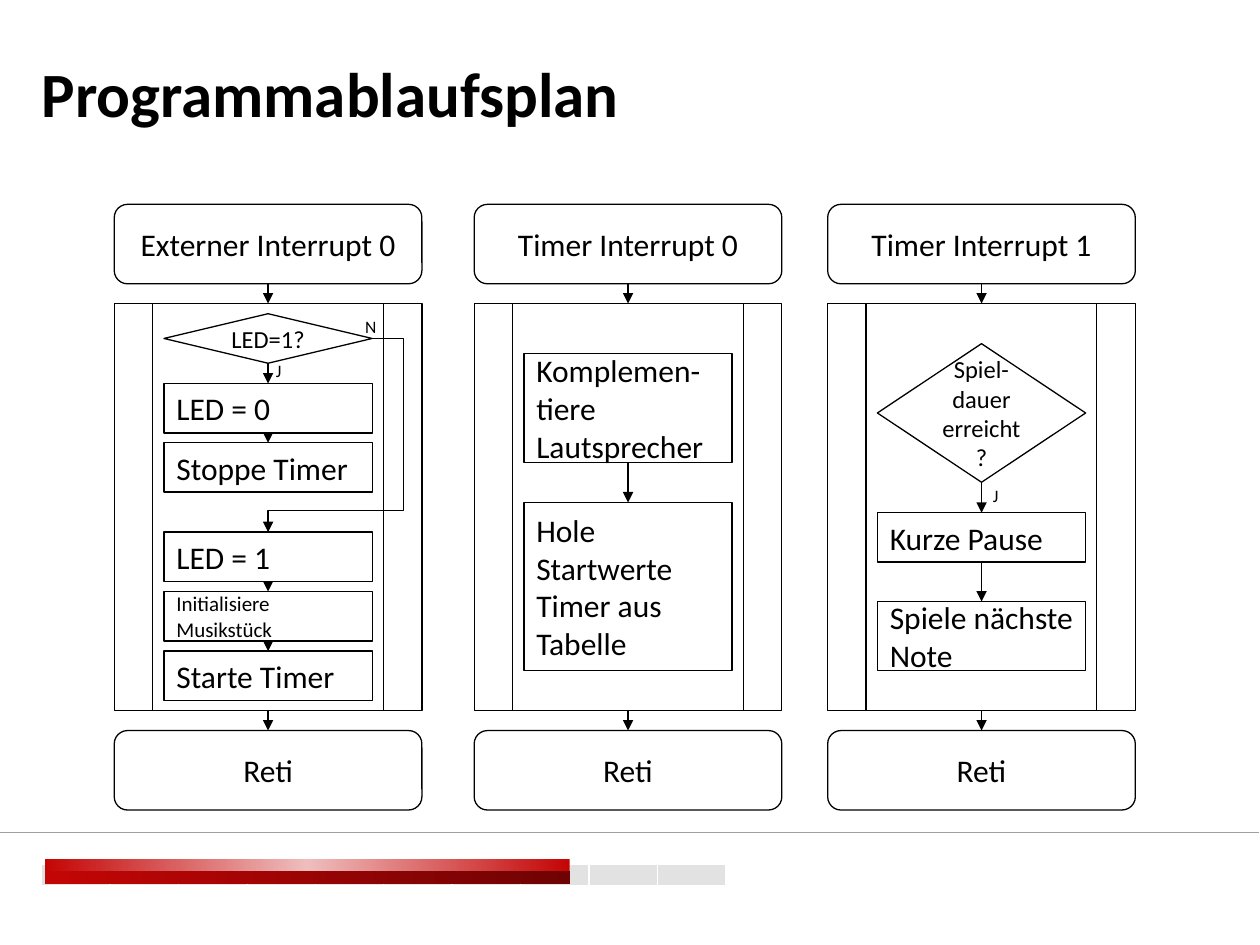
from copy import deepcopy

from pptx import Presentation
from pptx.dml.color import RGBColor
from pptx.enum.shapes import MSO_CONNECTOR, MSO_SHAPE
from pptx.enum.text import MSO_ANCHOR, MSO_AUTO_SIZE, PP_ALIGN
from pptx.oxml.ns import qn
from pptx.util import Pt
from lxml import etree

RECT = MSO_SHAPE.RECTANGLE
TERMINATOR = MSO_SHAPE.ROUNDED_RECTANGLE
PROCESS = MSO_SHAPE.FLOWCHART_PREDEFINED_PROCESS
DECISION = MSO_SHAPE.FLOWCHART_DECISION
STRAIGHT, ELBOW = MSO_CONNECTOR.STRAIGHT, MSO_CONNECTOR.ELBOW
LEFT, CENTER = PP_ALIGN.LEFT, PP_ALIGN.CENTER
MIDDLE = MSO_ANCHOR.MIDDLE
GROW = MSO_AUTO_SIZE.SHAPE_TO_FIT_TEXT

BLACK, WHITE, GRAY, RULE = "000000", "FFFFFF", "E2E2E2", "9F9F9F"
RED, PINK, DARK_RED = "C40505", "EFBDBD", "6F0303"

prs = Presentation()
prs.slide_width, prs.slide_height = Pt(720), Pt(540)
slide = prs.slides.add_slide(prs.slide_layouts[6])
shapes = slide.shapes


def write(frame, text, size, align=LEFT, bold=False):
    frame.text = text
    paragraph = frame.paragraphs[0]
    paragraph.alignment = align
    font = paragraph.runs[0].font
    font.name, font.size, font.bold = "Calibri", Pt(size), bold
    font.color.rgb = RGBColor.from_string(BLACK)


def add_block(kind, x, y, w, h, text="", size=18, align=CENTER):
    block = shapes.add_shape(kind, Pt(x), Pt(y), Pt(w), Pt(h))
    block.shadow.inherit = False
    block.fill.background()
    block.line.color.rgb = RGBColor.from_string(BLACK)
    block.line.width = Pt(0.75)
    if text:
        block.text_frame.word_wrap = True
        block.text_frame.vertical_anchor = MIDDLE
        write(block.text_frame, text, size, align)
    return block


for i in range(10):
    cell = add_block(RECT, 23.8 + i * 39.1, 493.9, 39.1, 12.2)
    cell.fill.solid()
    cell.fill.fore_color.rgb = RGBColor.from_string(GRAY)
    cell.line.color.rgb = RGBColor.from_string(WHITE)

for y, colors in [(490.7, [RED, PINK, RED]), (498, [RED, DARK_RED])]:
    bar = add_block(RECT, 25.6, y, 300, 7.3)
    bar.line.fill.background()
    bar.fill.gradient()
    bar.fill.gradient_angle = 0
    stop_list = bar._element.spPr.find(".//" + qn("a:gsLst"))
    while len(stop_list) < len(colors):
        stop_list.append(deepcopy(stop_list[0]))
    for i, (stop, color) in enumerate(zip(bar.fill.gradient_stops, colors)):
        stop.position = i / (len(colors) - 1)
        stop.color.rgb = RGBColor.from_string(color)

title = shapes.add_textbox(Pt(23.8), Pt(32.4), Pt(671), Pt(51.1)).text_frame
title.word_wrap = True
title.margin_left = title.margin_right = 0
write(title, "Programmablaufsplan", 36, bold=True)
title.paragraphs[0].line_spacing = 0.9

column_width, step_width, step_height = 175.8, 119, 28.3
columns = [
    (65.3, "Externer Interrupt 0", [
        (DECISION, 179.3, step_height, "LED=1?", 14),
        (RECT, 219.2, step_height, "LED = 0", 18),
        (RECT, 253, step_height, "Stoppe Timer", 18),
        (RECT, 304.1, step_height, "LED = 1", 18),
        (RECT, 338, step_height, "Initialisiere Musikstück", 12),
        (RECT, 372.1, step_height, "Starte Timer", 18),
    ]),
    (271, "Timer Interrupt 0", [
        (RECT, 201.9, 62.4, "Komplemen-tiere Lautsprecher", 18),
        (RECT, 287.1, 96.1, "Hole Startwerte Timer aus Tabelle", 18),
    ]),
    (473, "Timer Interrupt 1", [
        (DECISION, 196.4, 79.2, "Spiel-dauer erreicht?", 14),
        (RECT, 293, step_height, "Kurze Pause", 18),
        (RECT, 343.7, 39.6, "Spiele nächste Note", 18),
    ]),
]

arrows = []
for left, heading, steps in columns:
    middle = left + column_width / 2
    add_block(TERMINATOR, left, 116.8, column_width, 45.4, heading)
    add_block(PROCESS, left, 173.5, column_width, 232.6)
    add_block(TERMINATOR, left, 417.5, column_width, 45.4, "Reti")
    arrows += [(middle, 162.2, 173.5), (middle, 406.1, 417.5)]
    for kind, y, h, text, size in steps:
        align = CENTER if kind == DECISION else LEFT
        add_block(kind, middle - step_width / 2, y, step_width, h, text, size, align)
    for (_, y, h, text, _), following in zip(steps, steps[1:]):
        if text != "Stoppe Timer":
            arrows.append((middle, y + h, following[1]))

rule = shapes.add_connector(STRAIGHT, 0, Pt(475.9), Pt(719.5), Pt(475.9))
flows = [shapes.add_connector(STRAIGHT, Pt(x), Pt(top), Pt(x), Pt(bottom))
         for x, top, bottom in arrows]
bypass = shapes.add_connector(ELBOW, Pt(212.7), Pt(193.5), Pt(153.2), Pt(304.1))
bypass_geometry = bypass._element.spPr.find(qn("a:prstGeom"))
bypass_geometry.set("prst", "bentConnector4")
adjustments = bypass_geometry.find(qn("a:avLst"))
for name, value in [("adj1", -30200), ("adj2", 89000)]:
    etree.SubElement(adjustments, qn("a:gd"), name=name, fmla=f"val {value}")

for connector in [rule, bypass, *flows]:
    connector.line.width = Pt(0.75)
    connector.line.color.rgb = RGBColor.from_string(RULE if connector is rule else BLACK)
    if connector is not rule:
        etree.SubElement(connector.line._get_or_add_ln(), qn("a:tailEnd"), type="triangle")
    etree.SubElement(connector._element.spPr, qn("a:effectLst"))

for x, y, w, answer in [(201.6, 177.1, 20.9, "N"), (150.5, 202.3, 18, "J"),
                        (560.2, 273.6, 18, "J")]:
    label = shapes.add_textbox(Pt(x), Pt(y), Pt(w), Pt(19.4)).text_frame
    label.word_wrap = False
    label.auto_size = GROW
    write(label, answer, 10)

prs.save("out.pptx")
